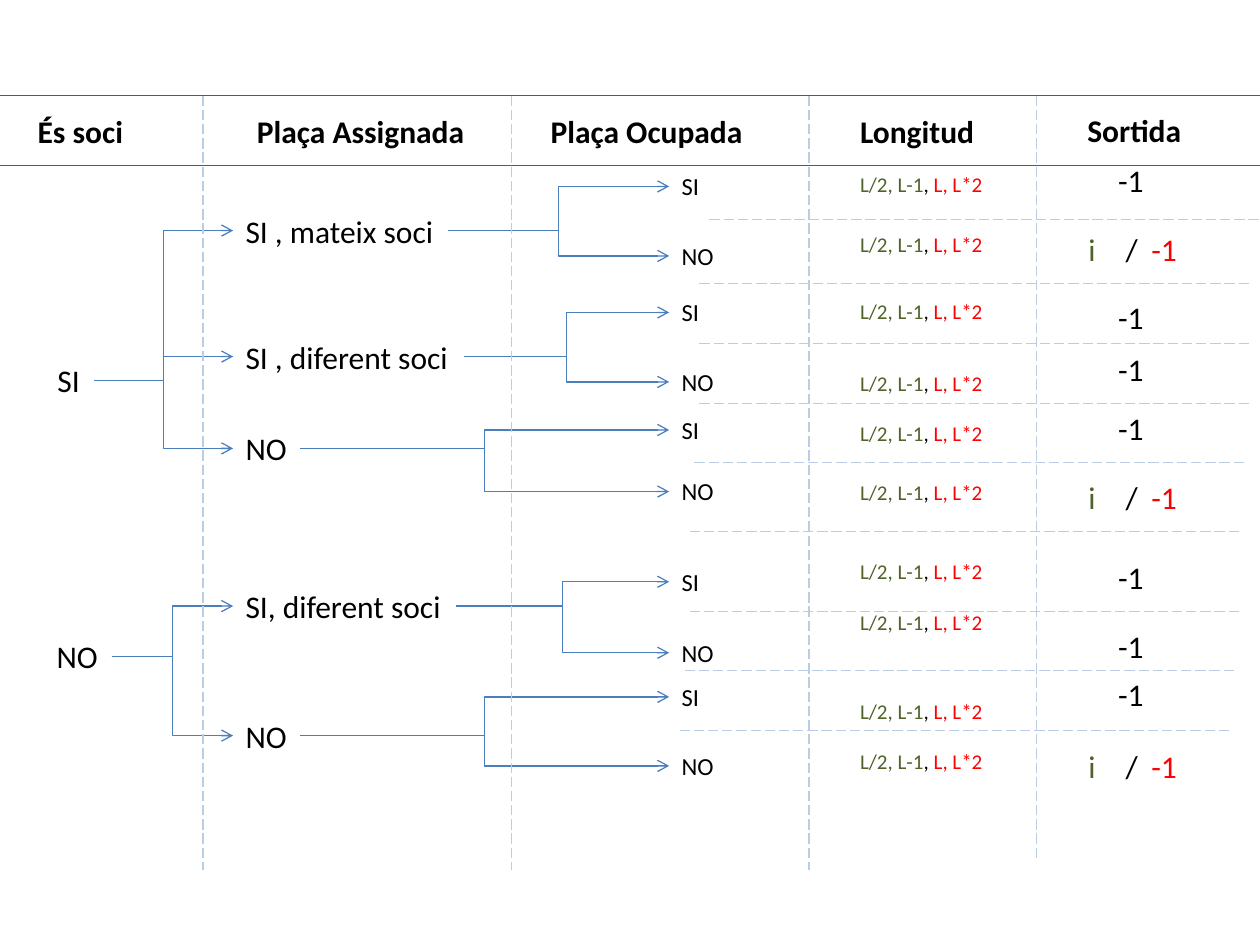
from pptx import Presentation
from pptx.dml.color import RGBColor
from pptx.enum.dml import MSO_LINE
from pptx.enum.shapes import MSO_CONNECTOR
from pptx.enum.text import MSO_ANCHOR
from pptx.oxml.ns import qn
from pptx.util import Cm, Pt
from lxml.etree import SubElement

BLACK, GREEN, RED = "000000", "4F6228", "FF0000"
BRANCH, GUIDE, RULE = "4B7EBC", "B9CDE5", "376092"
HEIGHTS = {18: 1.02, 14: 0.86, 12: 0.76}

HEADERS = [
    ("És soci", 0.51, 2.64, 2.24),
    ("Plaça Assignada", 4.93, 2.64, 4.72),
    ("Plaça Ocupada", 10.85, 2.64, 4.42),
    ("Longitud", 17.09, 2.64, 2.84),
    ("Sortida", 21.67, 2.62, 2.41),
]
MEMBERS = [
    ("SI", 0.91, 7.67, 0.99, [
        ("SI , mateix soci", 4.65, 4.34, (3.76, 5.16)),
        ("SI , diferent soci", 7.19, 4.65, (6.30, 7.70)),
        ("NO", 9.04, 1.35, (8.67, 9.91)),
    ]),
    ("NO", 0.89, 13.23, 1.36, [
        ("SI, diferent soci", 12.22, 4.50, (11.73, 13.16)),
        ("NO", 14.83, 1.35, (14.05, 15.44)),
    ]),
]
ASSIGNED_LEFT, OCCUPIED_LEFT = 4.70, 13.49
OCCUPIED = [("SI", 0.86), ("NO", 1.17)]

LENGTH_SPANS = [("L/2, L-1", GREEN), (", ", BLACK), ("L, L*2", RED)]
LENGTH_ROWS = [3.71, 4.93, 6.27, 7.72, 8.74, 9.93, 11.51, 12.55, 14.33, 15.34]
MINUS_ROWS = [3.63, 6.40, 7.44, 8.64, 11.63, 13.03, 14.00]
CHOICE_SPANS = [("i", GREEN), ("\t/", BLACK), ("\t-1", RED)]
CHOICE_ROWS = [5.03, 10.03, 15.44]
CHOICE_TABS = [0.75, 1.27]

COLUMN_GUIDES = [(4.09, 17.53), (10.31, 17.53), (16.31, 17.53), (20.90, 17.32)]
ROW_GUIDES = [(14.3, 4.42), (14.1, 5.72), (14.1, 6.93), (14.1, 8.13), (14.0, 9.32),
              (13.9, 10.72), (13.9, 12.32), (13.8, 13.51), (13.7, 14.73)]
ROW_GUIDE_WIDTH = 11.1
HEADER_TOP, HEADER_BOTTOM = 1.93, 3.33
PAGE_WIDTH, PAGE_HEIGHT = 25.4, 19.05

deck = Presentation()
deck.slide_width, deck.slide_height = Cm(PAGE_WIDTH), Cm(PAGE_HEIGHT)
page = deck.slides.add_slide(deck.slide_layouts[6])


def color(value):
    return RGBColor.from_string(value)


def add_text(spans, left, middle, width, size=18, bold=False, tabs=()):
    height = HEIGHTS[size]
    box = page.shapes.add_textbox(Cm(left), Cm(middle - height / 2), Cm(width), Cm(height))
    frame = box.text_frame
    frame.word_wrap = False
    frame.vertical_anchor = MSO_ANCHOR.TOP
    para = frame.paragraphs[0]
    para.font.name, para.font.size, para.font.bold = "Calibri", Pt(size), bold
    if tabs:
        properties = para._p.get_or_add_pPr()
        stops = properties.makeelement(qn("a:tabLst"))
        properties.insert(0, stops)
        for position in tabs:
            SubElement(stops, qn("a:tab"), pos=str(Cm(position)), algn="l")
    for text, value in spans:
        span = para.add_run()
        span.text = text
        span.font.color.rgb = color(value)


def add_line(start, end, value, kind=MSO_CONNECTOR.STRAIGHT, dashed=False, arrow=False):
    line = page.shapes.add_connector(kind, *(Cm(length) for length in start + end))
    line.line.color.rgb = color(value)
    line.line.width = Pt(0.75)
    if dashed:
        line.line.dash_style = MSO_LINE.LONG_DASH
    if arrow:
        SubElement(line.line._get_or_add_ln(), qn("a:tailEnd"), type="arrow")
    SubElement(line._element.spPr, qn("a:effectLst"))


def add_branch(start, end):
    add_line(start, end, BRANCH, MSO_CONNECTOR.ELBOW, arrow=True)


for text, left, middle, width in HEADERS:
    add_text([(text, BLACK)], left, middle, width, bold=True)

for member, left, member_row, member_width, places in MEMBERS:
    add_text([(member, BLACK)], left, member_row, member_width)
    for place, place_row, place_width, rows in places:
        add_text([(place, BLACK)], ASSIGNED_LEFT, place_row, place_width)
        add_branch((left + member_width, member_row), (ASSIGNED_LEFT, place_row))
        for (answer, width), row in zip(OCCUPIED, rows):
            add_text([(answer, BLACK)], OCCUPIED_LEFT, row, width, size=14)
            add_branch((ASSIGNED_LEFT + place_width, place_row), (OCCUPIED_LEFT, row))

for row in LENGTH_ROWS:
    add_text(LENGTH_SPANS, 17.09, row, 3.0, size=12)
for row in MINUS_ROWS:
    add_text([("-1", BLACK)], 22.29, row, 1.04)
for row in CHOICE_ROWS:
    add_text(CHOICE_SPANS, 21.69, row, 2.31, tabs=CHOICE_TABS)

for x, bottom in COLUMN_GUIDES:
    add_line((x, HEADER_TOP), (x, bottom), GUIDE, dashed=True)
for left, y in ROW_GUIDES:
    add_line((left, y), (left + ROW_GUIDE_WIDTH, y), GUIDE, dashed=True)
for y in (HEADER_BOTTOM, HEADER_TOP):
    add_line((0, y), (PAGE_WIDTH, y), RULE)

deck.save("out.pptx")
